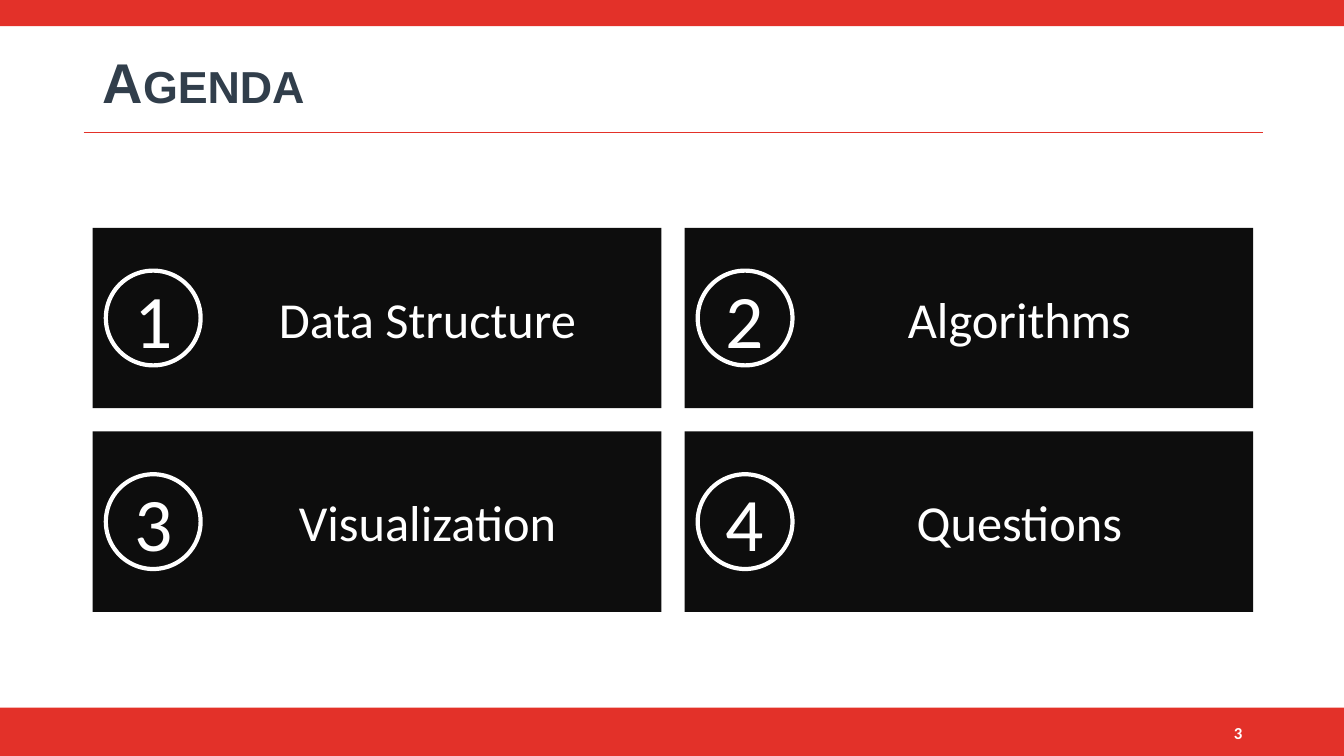
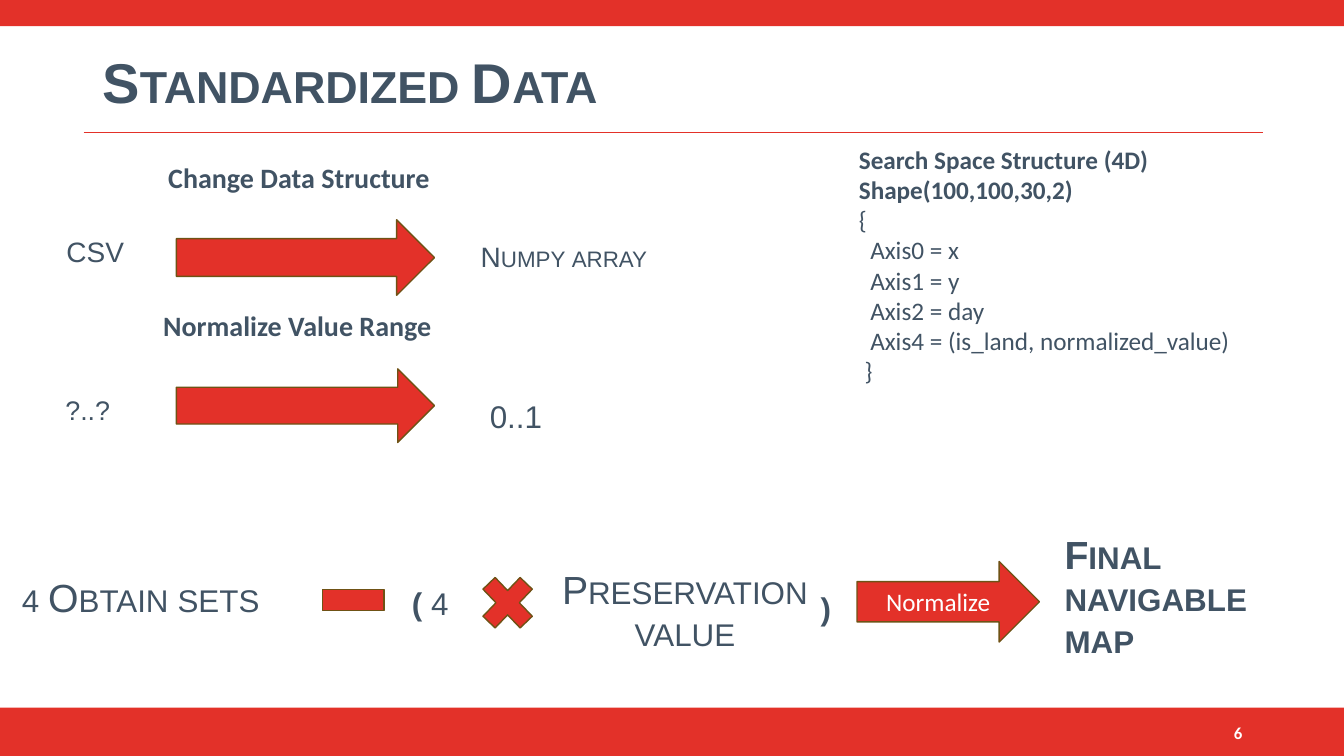
from dataclasses import dataclass

from pptx import Presentation
from pptx import util as u
from pptx.dml.color import RGBColor
from pptx.enum import shapes, text
from lxml import etree

A = "http://schemas.openxmlformats.org/drawingml/2006/main"
I = u.Inches
G = shapes.MSO_SHAPE
AL = text.PP_ALIGN


@dataclass(frozen=True)
class Theme:
    red: str = "E33129"
    outline: str = "6F5215"
    dark: str = "313E4B"
    slate: str = "415364"
    black: str = "0D0D0D"
    white: str = "FFFFFF"
    head: str = "Arial"
    body: str = "Calibri"
    title: int = 40
    number: int = 54
    card: int = 36
    formula: int = 28
    value: int = 24
    label: int = 20
    code: int = 18
    footer: int = 12


T = Theme()


def shape(s, kind, box, fill=None, line=None, width=1):
    sp = s.shapes.add_shape(kind, *map(I, box))
    sp.shadow.inherit = False
    if fill:
        sp.fill.solid()
        sp.fill.fore_color.rgb = RGBColor.from_string(fill)
    else:
        sp.fill.background()
    if line:
        sp.line.color.rgb = RGBColor.from_string(line)
        sp.line.width = u.Pt(width)
    else:
        sp.line.fill.background()
    return sp


def write(sp, lines, size, color=T.slate, font=T.body, bold=False,
          align=AL.LEFT, caps=False, anchor=text.MSO_ANCHOR.MIDDLE):
    tf = sp.text_frame
    tf.word_wrap = True
    tf.vertical_anchor = anchor
    tf.text = lines
    for p in tf.paragraphs:
        p.alignment = align
        p.font.size = u.Pt(size)
        p.font.name = font
        p.font.bold = bold
        p.font.color.rgb = RGBColor.from_string(color)
        if caps:
            p.line_spacing = 0.9
            p._p.get_or_add_pPr().get_or_add_defRPr().set("cap", "small")
    return tf


prs = Presentation()
prs.slide_width, prs.slide_height = I(13.33), I(7.5)

slides = []
for title, number, color in [("Agenda", "3", T.dark), ("Standardized Data", "6", T.slate)]:
    s = prs.slides.add_slide(prs.slide_layouts[6])
    shape(s, G.RECTANGLE, (0, 0, 13.33, 0.26), T.red)
    shape(s, G.RECTANGLE, (0, 7.02, 13.33, 0.48), T.red)
    rule = s.shapes.add_connector(shapes.MSO_CONNECTOR.STRAIGHT, I(0.83), I(1.31), I(12.53), I(1.31))
    rule.line.color.rgb = RGBColor.from_string(T.red)
    rule.line.width = u.Pt(0.5)
    etree.SubElement(rule._element.spPr, f"{{{A}}}effectLst")
    write(s.shapes.add_textbox(I(0.92), I(0.4), I(11.5), I(0.9)), title, T.title, color,
          T.head, bold=True, caps=True)
    write(s.shapes.add_textbox(I(9.42), I(7.07), I(3), I(0.4)), number, T.footer, T.white,
          bold=True, align=AL.RIGHT)
    slides.append(s)
agenda, data = slides

card_w, card_h, gap = 5.64, 1.79, 0.23
badge = 0.94
for i, topic in enumerate(["Data Structure", "Algorithms", "Visualization", "Questions"]):
    row, col = divmod(i, 2)
    x = 0.92 + col * (card_w + gap)
    y = 2.26 + row * (card_h + gap)
    card = shape(agenda, G.RECTANGLE, (x, y, card_w, card_h), T.black)
    write(card, topic, T.card, T.white, align=AL.CENTER).margin_left = I(1.1)
    circle = shape(agenda, G.OVAL, (x + 0.13, y + (card_h - badge) / 2, badge, badge),
                   line=T.white, width=3)
    write(circle, str(i + 1), T.number, T.white, align=AL.CENTER)

for kind, box in [
    (G.RIGHT_ARROW, (1.75, 2.18, 2.56, 0.75)),
    (G.RIGHT_ARROW, (1.75, 3.66, 2.56, 0.73)),
    (G.RECTANGLE, (3.2, 5.85, 0.61, 0.21)),
    (G.MATH_MULTIPLY, (4.68, 5.61, 0.71, 0.74)),
]:
    shape(data, kind, box, T.red, T.outline)
normalize = shape(data, G.RIGHT_ARROW, (8.5, 5.57, 1.81, 0.8), T.red, T.outline)
write(normalize, "Normalize", T.code, T.white, align=AL.CENTER)

for words, box, size, bold, align in [
    ("CSV", (0.56, 2.18, 1.11, 0.66), T.label, False, AL.LEFT),
    ("Numpy array", (4.67, 2.23, 2.24, 0.66), T.label, False, AL.LEFT),
    ("?..?", (0.55, 3.74, 1, 0.65), T.value, False, AL.LEFT),
    ("0..1", (4.76, 3.83, 1.5, 0.58), T.formula, False, AL.LEFT),
    ("4 Obtain sets", (0.12, 5.62, 2.8, 0.66), T.formula, False, AL.LEFT),
    ("Preservation\nvalue", (5.43, 5.75, 2.73, 0.66), T.formula, False, AL.CENTER),
    (")", (8.04, 5.7, 2.73, 0.66), T.formula, True, AL.LEFT),
    ("Final navigable map", (10.46, 5.59, 2.61, 0.7), T.formula, True, AL.LEFT),
]:
    write(data.shapes.add_textbox(*map(I, box)), words, size, font=T.head, bold=bold,
          align=align, caps=True)

tf = write(data.shapes.add_textbox(I(3.9), I(5.61), I(1.11), I(0.74)), " ( ", T.formula,
           font=T.head, caps=True)
p = tf.paragraphs[0]
p.runs[0].font.bold = True
p.add_run().text = "4"

for heading, x, y in [("Change Data Structure", 1.57, 1.54), ("Normalize Value Range", 1.52, 3.01)]:
    write(data.shapes.add_textbox(I(x), I(y), I(3.02), I(0.44)), heading, T.label,
          bold=True, anchor=text.MSO_ANCHOR.TOP)

structure = [
    "Search Space Structure (4D)",
    "Shape(100,100,30,2)",
    "{",
    "  Axis0 = x",
    "  Axis1 = y",
    "  Axis2 = day",
    "  Axis4 = (is_land, normalized_value)",
    " }",
]
tf = write(data.shapes.add_textbox(I(8.42), I(1.38), I(4.12), I(2.52)), "\n".join(structure),
           T.code, anchor=text.MSO_ANCHOR.TOP)
for p in tf.paragraphs[:2]:
    p.font.bold = True

prs.save("out.pptx")
